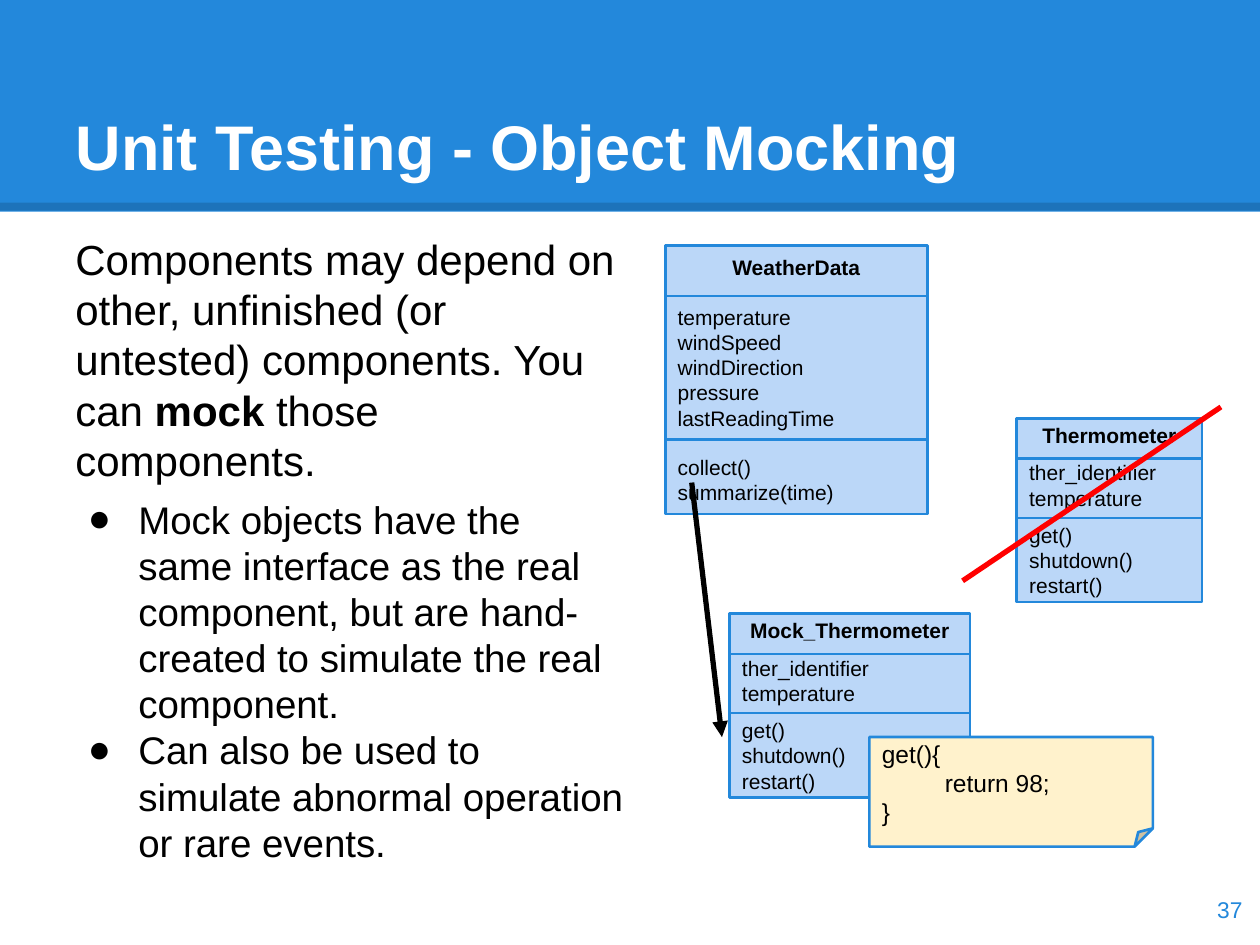
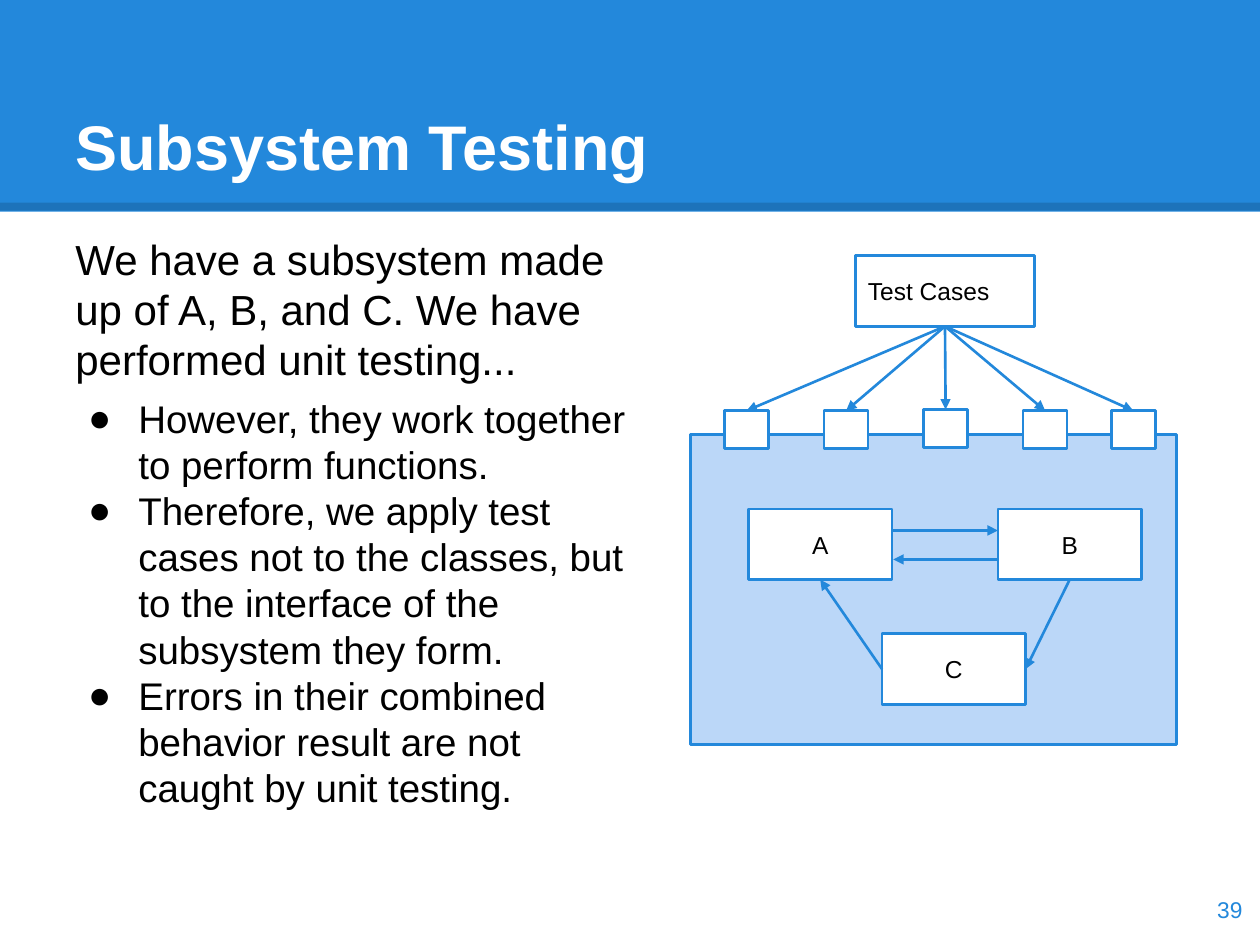
from dataclasses import dataclass
from typing import NamedTuple, Optional

from lxml.etree import SubElement
from pptx import Presentation
from pptx.dml.color import RGBColor
from pptx.enum.shapes import MSO_CONNECTOR, MSO_SHAPE
from pptx.enum.text import MSO_ANCHOR, MSO_AUTO_SIZE, PP_ALIGN
from pptx.oxml.ns import qn
from pptx.util import Inches, Pt

COLORS = {
    "blue": "2388DB",
    "pale_blue": "BBD7F8",
    "note": "FFF2CC",
    "white": "FFFFFF",
    "black": "000000",
    "red": "FF0000",
}
FONT = "Arial"
TOP, LEFT, BOTTOM, RIGHT = range(4)


class Box(NamedTuple):
    left: float
    top: float
    width: float
    height: float


class Run(NamedTuple):
    text: str
    bold: bool = False


@dataclass
class Para:
    runs: list[Run]
    size: Optional[float] = None
    align: PP_ALIGN = PP_ALIGN.LEFT
    before: float = 0
    bullet: bool = False


@dataclass
class UmlClass:
    box: Box
    name: str
    fields: list[str]
    methods: list[str]
    dividers: tuple[float, float]
    gap: float


def rgb(color: str) -> RGBColor:
    return RGBColor.from_string(COLORS[color])


def add_bullet(paragraph) -> None:
    props = paragraph._p.get_or_add_pPr()
    props.set("marL", str(Inches(0.5)))
    props.set("indent", str(Inches(-0.4)))
    bullet_color = SubElement(props, qn("a:buClr"))
    SubElement(bullet_color, qn("a:srgbClr"), val=COLORS["black"])
    SubElement(props, qn("a:buFont"), typeface=FONT)
    SubElement(props, qn("a:buChar"), char="●")


def write_text(shape, paras: list[Para], *, size: float = 14, color: str = "black",
               anchor: MSO_ANCHOR = MSO_ANCHOR.MIDDLE) -> None:
    frame = shape.text_frame
    frame.word_wrap = True
    frame.auto_size = MSO_AUTO_SIZE.NONE
    frame.vertical_anchor = anchor
    frame.margin_left = frame.margin_right = Inches(0.1)
    frame.margin_top = frame.margin_bottom = Inches(0.1)
    for index, para in enumerate(paras):
        paragraph = frame.add_paragraph() if index else frame.paragraphs[0]
        if para.bullet:
            add_bullet(paragraph)
        paragraph.alignment = para.align
        paragraph.space_before = Pt(para.before)
        for part in para.runs:
            run = paragraph.add_run()
            run.text = part.text
            run.font.name = FONT
            run.font.size = Pt(para.size or size)
            run.font.bold = part.bold
            run.font.color.rgb = rgb(color)


def add_box(slide, box: Box, fill: str = "white", outline: Optional[str] = "blue",
            kind: MSO_SHAPE = MSO_SHAPE.RECTANGLE):
    shape = slide.shapes.add_shape(kind, *map(Inches, box))
    shape.shadow.inherit = False
    shape.fill.solid()
    shape.fill.fore_color.rgb = rgb(fill)
    if outline:
        shape.line.color.rgb = rgb(outline)
        shape.line.width = Pt(1.5)
    else:
        shape.line.fill.background()
    return shape


def add_line(slide, start: tuple[float, float] = (0, 0), end: tuple[float, float] = (0, 0),
             color: str = "blue", width: float = 1.5, arrow: bool = False):
    line = slide.shapes.add_connector(
        MSO_CONNECTOR.STRAIGHT, *map(Inches, (*start, *end)))
    line.line.color.rgb = rgb(color)
    line.line.width = Pt(width)
    props = line.element.spPr
    if arrow:
        SubElement(props.find(qn("a:ln")), qn("a:tailEnd"), type="triangle")
    SubElement(props, qn("a:effectLst"))
    return line


def join(slide, source, source_side: int, target, target_side: int) -> None:
    arrow = add_line(slide, arrow=True)
    arrow.begin_connect(source, source_side)
    arrow.end_connect(target, target_side)


def add_text(slide, box: Box, paras: list[Para], **text_format) -> None:
    write_text(slide.shapes.add_textbox(*map(Inches, box)), paras, **text_format)


def add_band(slide) -> None:
    band = add_box(slide, Box(0, 0, 10, 1.68), "blue", None)
    edge = add_line(slide, (0, 1.64), (10, 1.64), "black", 4.5)
    edge_color = next(edge.element.spPr.iter(qn("a:srgbClr")))
    SubElement(edge_color, qn("a:alpha"), val="15000")
    tree = slide.shapes.element
    tree.insert(2, band.element)
    tree.insert(3, edge.element)


def start_slide(deck, heading: str, number: int, body_width: float,
                lead: list[Run], points: list[str]):
    slide = deck.slides.add_slide(deck.slide_layouts[5])
    add_band(slide)
    title = slide.shapes.title
    title.left, title.top, title.width, title.height = map(Inches, (0.5, 0.3, 9, 1.25))
    write_text(title, [Para([Run(heading, True)])], size=36, color="white",
               anchor=MSO_ANCHOR.BOTTOM)
    body = [Para(lead, size=24)]
    body += [Para([Run(point)], before=0 if index else 6, bullet=True)
             for index, point in enumerate(points)]
    add_text(slide, Box(0.5, 1.75, body_width, 5.43), body, size=22,
             anchor=MSO_ANCHOR.TOP)
    add_text(slide, Box(9.36, 6.93, 0.6, 0.57),
             [Para([Run(str(number))], align=PP_ALIGN.RIGHT)], size=13, color="blue")
    return slide


def add_uml_class(slide, uml: UmlClass) -> None:
    paras = [Para([Run(uml.name, True)], align=PP_ALIGN.CENTER)]
    for section in (uml.fields, uml.methods):
        paras += [Para([Run(member)], before=0 if index else uml.gap)
                  for index, member in enumerate(section)]
    write_text(add_box(slide, uml.box, "pale_blue"), paras, size=12)
    right = uml.box.left + uml.box.width
    for y in uml.dividers:
        add_line(slide, (uml.box.left, y), (right, y))


def build_mocking(deck) -> None:
    slide = start_slide(
        deck, "Unit Testing - Object Mocking", 37, 4.56,
        [Run("Components may depend on other, unfinished (or untested) components. You can "),
         Run("mock ", True), Run("those components.")],
        ["Mock objects have the same interface as the real component, but are "
         "hand-created to simulate the real component.",
         "Can also be used to simulate abnormal operation or rare events."])
    sensor_fields = ["ther_identifier", "temperature"]
    sensor_methods = ["get()", "shutdown()", "restart()"]
    for uml in (
        UmlClass(Box(5.28, 1.95, 2.08, 2.13), "WeatherData",
                 ["temperature", "windSpeed", "windDirection", "pressure", "lastReadingTime"],
                 ["collect()", "summarize(time)"], (2.35, 3.49), 14),
        UmlClass(Box(8.07, 3.32, 1.47, 1.46), "Thermometer",
                 sensor_fields, sensor_methods, (3.64, 4.11), 7),
        UmlClass(Box(5.79, 4.87, 1.91, 1.46), "Mock_Thermometer",
                 sensor_fields, sensor_methods, (5.19, 5.66), 7),
    ):
        add_uml_class(slide, uml)
    add_line(slide, (7.64, 4.61), (9.69, 3.23), "red", 3)
    add_line(slide, (5.49, 3.83), (5.73, 5.85), "black", 3, arrow=True)
    stub_note = add_box(slide, Box(6.9, 5.85, 2.25, 0.87), "note",
                        kind=MSO_SHAPE.FOLDED_CORNER)
    write_text(stub_note, [Para([Run(code)]) for code in ("get(){", "\treturn 98;", "}")])


def build_subsystem(deck) -> None:
    slide = start_slide(
        deck, "Subsystem Testing", 39, 4.72,
        [Run("We have a subsystem made up of A, B, and C. We have performed unit testing...")],
        ["However, they work together to perform functions.",
         "Therefore, we apply test cases not to the classes, but to the interface "
         "of the subsystem they form.",
         "Errors in their combined behavior result are not caught by unit testing."])
    add_box(slide, Box(5.48, 3.45, 3.86, 2.46), "pale_blue")
    units = {}
    for name, left, top in (("A", 5.94, 4.04), ("B", 7.92, 4.04), ("C", 7, 5.03)):
        units[name] = add_box(slide, Box(left, top, 1.14, 0.56))
        write_text(units[name], [Para([Run(name)], align=PP_ALIGN.CENTER)])
    add_line(slide, (7.09, 4.21), (7.92, 4.21), arrow=True)
    add_line(slide, (7.92, 4.44), (7.09, 4.44), arrow=True)
    join(slide, units["B"], BOTTOM, units["C"], RIGHT)
    join(slide, units["C"], LEFT, units["A"], BOTTOM)

    test_cases = add_box(slide, Box(6.79, 2.03, 1.42, 0.56))
    write_text(test_cases, [Para([Run("Test Cases")])])
    for left, top in ((5.75, 3.26), (6.54, 3.26), (7.33, 3.25), (8.12, 3.26), (8.82, 3.26)):
        port = add_box(slide, Box(left, top, 0.35, 0.3))
        join(slide, test_cases, BOTTOM, port, TOP)


def main() -> None:
    deck = Presentation()
    deck.slide_width, deck.slide_height = Inches(10), Inches(7.5)
    build_mocking(deck)
    build_subsystem(deck)
    deck.save("out.pptx")


if __name__ == "__main__":
    main()
